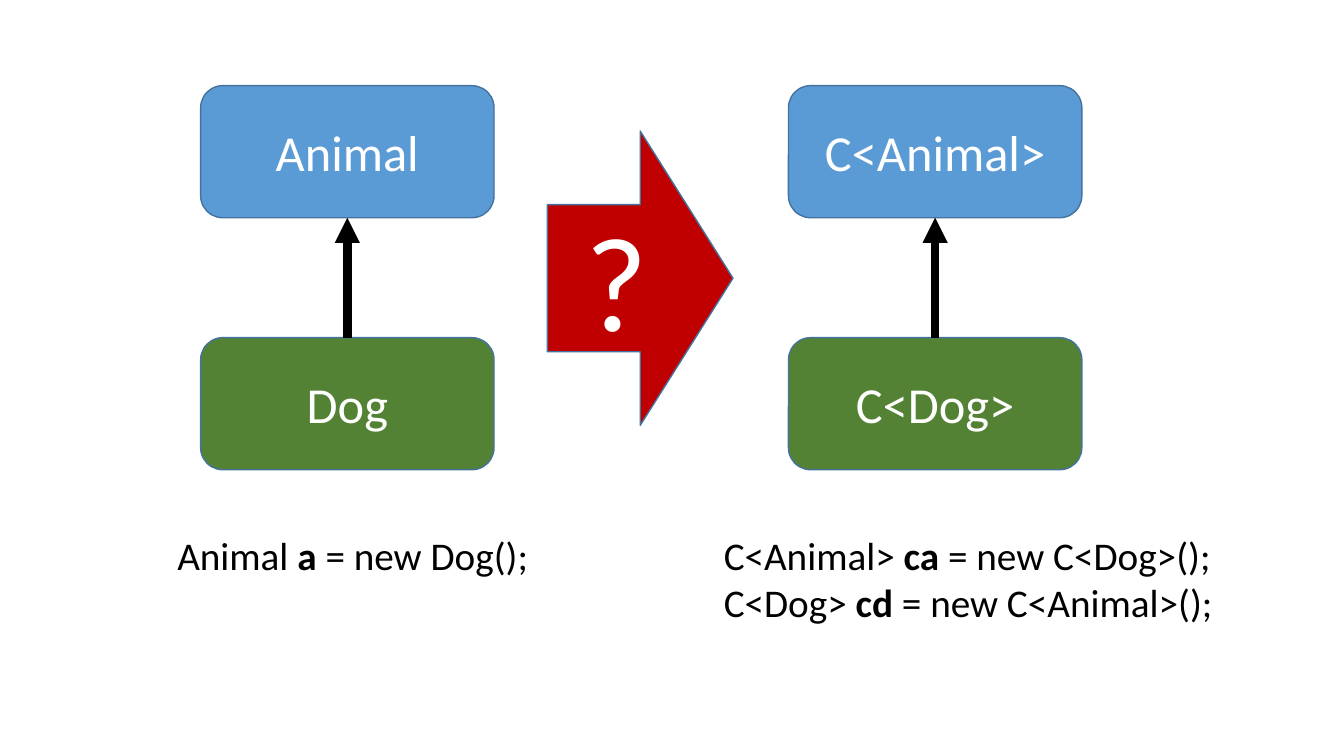
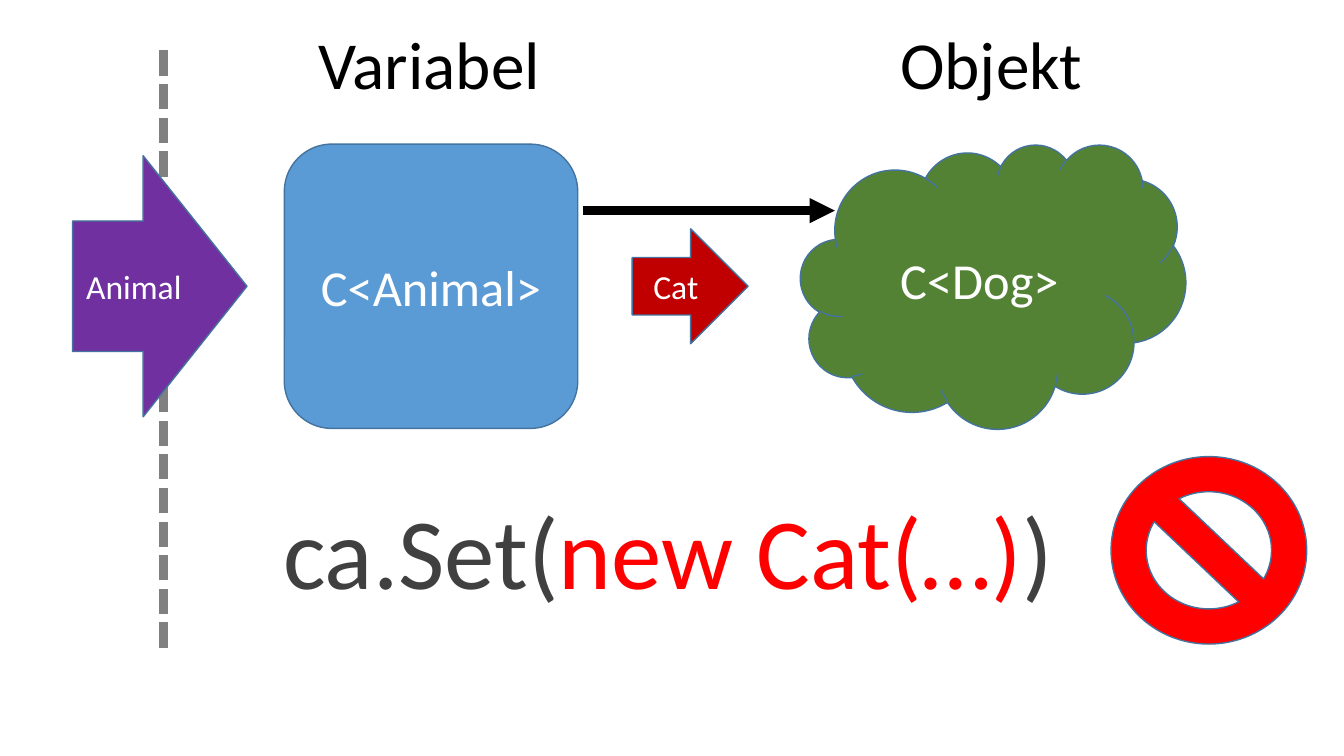
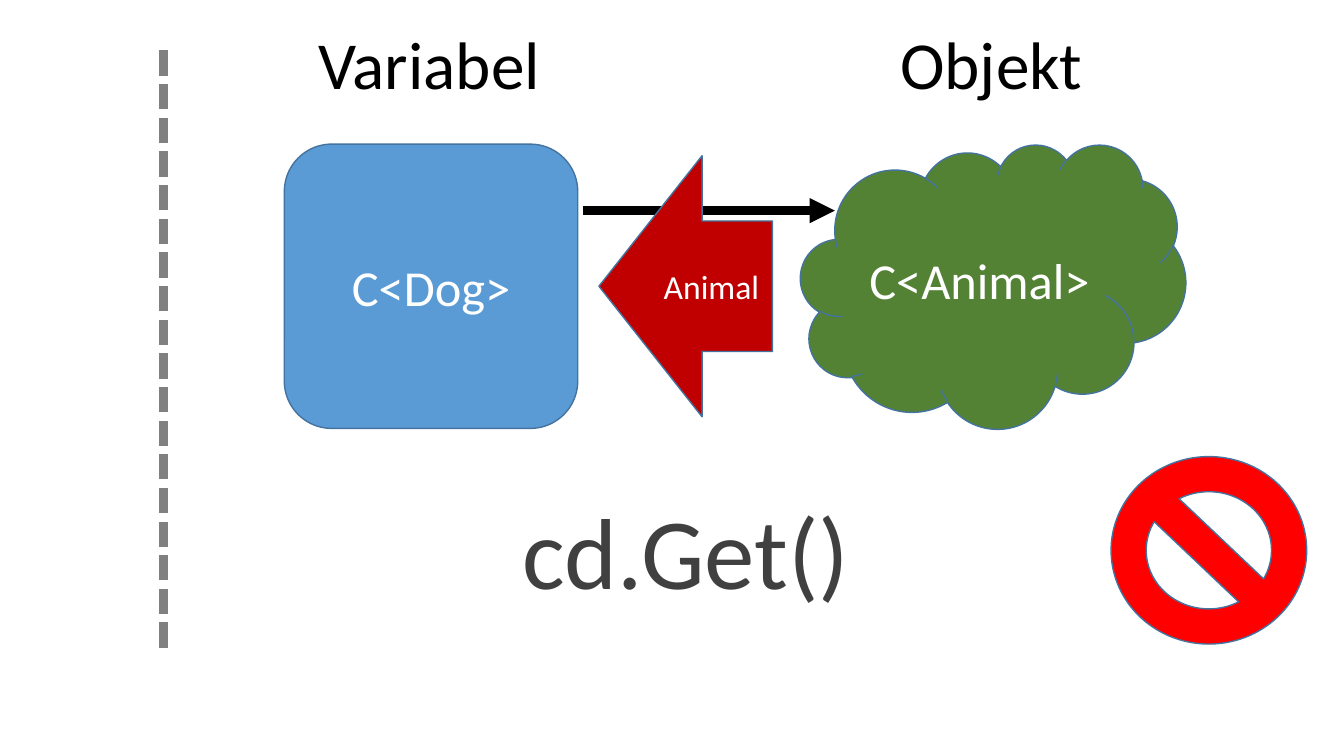
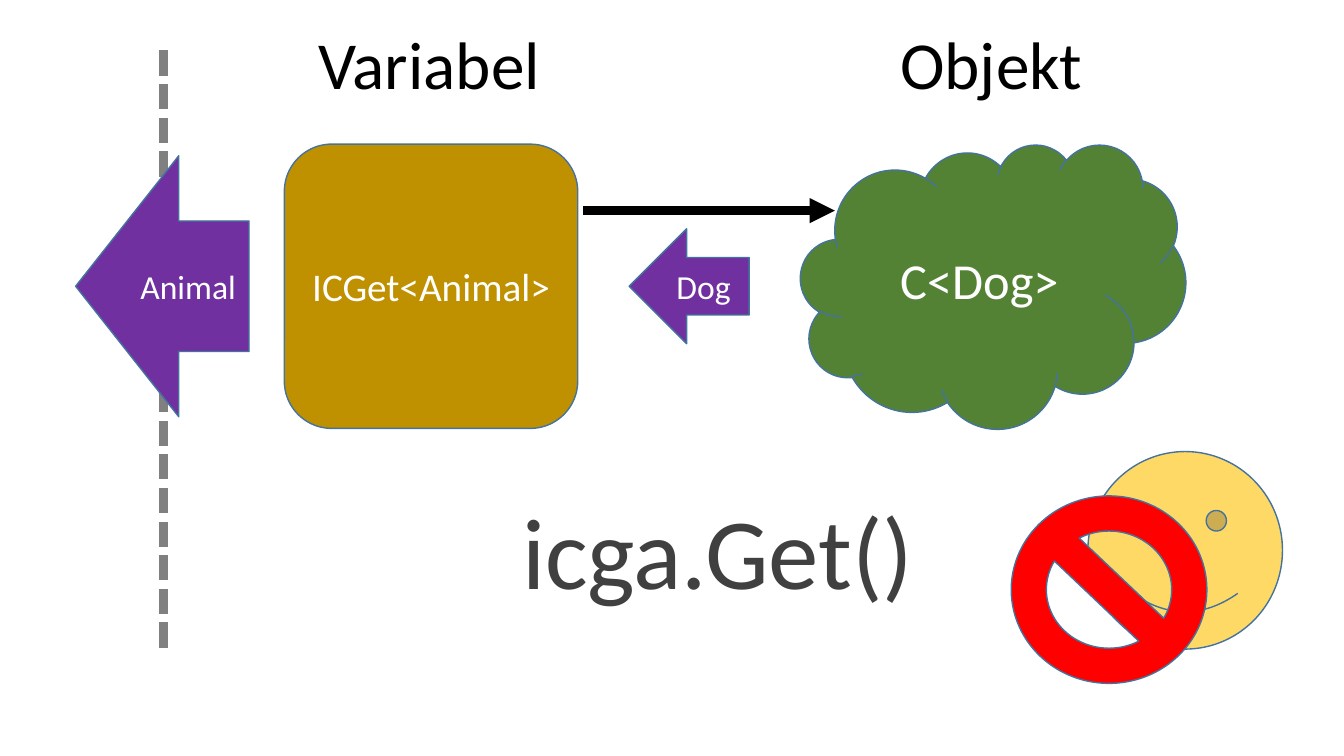
"""Build four slides on variance of generic types."""
from lxml import etree
from pptx import Presentation
from pptx import util as u
from pptx.dml.color import RGBColor
from pptx.enum import dml, shapes, text
from pptx.oxml.ns import qn

COLORS = {
    "variable": "5B9BD5", "object": "548235", "interface": "BF9000",
    "wrong": "C00000", "allowed": "7030A0", "ban": "FF0000", "smile": "FFD966",
    "outline": "43739E", "boundary": "808080", "call": "404040",
    "black": "000000", "white": "FFFFFF",
}
FONT = "Calibri"
KIND = shapes.MSO_SHAPE
LABEL = {"size": 28, "color": "black"}
HEADING = {"size": 48, "color": "black"}
CALL = {"size": 72, "color": "call"}
BOLD = {"bold": True}

HIERARCHIES = [
    (1.99, "Animal", "Dog"),
    (7.82, "C<Animal>", "C<Dog>"),
]
ASSIGNMENTS = [
    ((1.66, 5.22, 3.71, 0.57),
     [[("Animal ", {}), ("a ", BOLD), ("= new Dog();", {})]]),
    ((7.08, 5.22, 5.08, 1.04),
     [[("C<Animal> ", {}), ("ca", BOLD), (" = new C<Dog>();", {})],
      [("C<Dog> ", {}), ("cd", BOLD), (" = new C<Animal>();", {})]]),
]
HEADINGS = [("Variabel", (3.06, 0.17, 2.42, 0.91)),
            ("Objekt", (8.83, 0.17, 2.03, 0.91))]
SCENES = [
    {"variable": ("C<Animal>", "variable", 36), "object": "C<Dog>",
     "call": [("ca.Set(", {}), ("new Cat(…)", {"color": "ban"}), (")", {})],
     "call_left": 2.71, "call_width": 7.98,
     "flows": [("Cat", KIND.RIGHT_ARROW, "wrong", 6.27, 1.15, False),
               ("Animal", KIND.RIGHT_ARROW, "allowed", 0.72, 1.73, True)],
     "verdict": [(KIND.NO_SYMBOL, "ban", (11.02, 4.53, 1.94, 1.86))]},
    {"variable": ("C<Dog>", "variable", 36), "object": "C<Animal>",
     "call": [("cd.Get()", {})], "call_left": 5.08, "call_width": 3.48,
     "flows": [("Animal", KIND.LEFT_ARROW, "wrong", 5.94, 1.72, True)],
     "verdict": [(KIND.NO_SYMBOL, "ban", (11.02, 4.53, 1.94, 1.86))]},
    {"variable": ("ICGet<Animal>", "interface", 28), "object": "C<Dog>",
     "call": [("icga.Get()", {})], "call_left": 5.08, "call_width": 4.12,
     "flows": [("Dog", KIND.LEFT_ARROW, "allowed", 6.24, 1.19, False),
               ("Animal", KIND.LEFT_ARROW, "allowed", 0.75, 1.72, True)],
     "verdict": [(KIND.SMILEY_FACE, "smile", (10.79, 4.48, 1.93, 1.96)),
                 (KIND.NO_SYMBOL, "ban", (10.03, 4.92, 1.94, 1.86))]},
]
BOX_WIDTH, BOX_HEIGHT = 2.91, 1.31
PARENT_TOP, CHILD_TOP = 0.85, 3.35
FLOW_CENTER = 2.84


def rgb(name):
    return RGBColor.from_string(COLORS[name])


def inches(values):
    return [u.Inches(value) for value in values]


def add_run(paragraph, words, style):
    run = paragraph.add_run()
    run.text = words
    font_format = {"name": FONT, "size": u.Pt(style["size"]),
                   "bold": style.get("bold", False)}
    for key, value in font_format.items():
        setattr(run.font, key, value)
    run.font.color.rgb = rgb(style["color"])


def add_text(slide, place, paragraphs, style):
    frame = slide.shapes.add_textbox(*inches(place)).text_frame
    frame_format = {"word_wrap": False, "auto_size": text.MSO_AUTO_SIZE.SHAPE_TO_FIT_TEXT}
    for key, value in frame_format.items():
        setattr(frame, key, value)
    for index, runs in enumerate(paragraphs):
        paragraph = frame.add_paragraph() if index else frame.paragraphs[0]
        for words, change in runs:
            add_run(paragraph, words, {**style, **change})


def add_figure(slide, kind, place, color, words="", size=36):
    figure = slide.shapes.add_shape(kind, *inches(place))
    figure.shadow.inherit = False
    figure.fill.solid()
    figure.fill.fore_color.rgb = rgb(color)
    figure.line.color.rgb = rgb("outline")
    figure.line.width = u.Pt(1)
    if words:
        paragraph = figure.text_frame.paragraphs[0]
        paragraph.alignment = text.PP_ALIGN.CENTER
        add_run(paragraph, words, {"size": size, "color": "white"})
    return figure


def add_line(slide, ends, color, dash=None, arrow=False):
    connector = slide.shapes.add_connector(shapes.MSO_CONNECTOR.STRAIGHT, *inches(ends))
    line = connector.line
    line.color.rgb = rgb(color)
    line.width = u.Pt(6)
    if dash:
        line.dash_style = dash
    properties = connector.element.spPr
    if arrow:
        etree.SubElement(properties.find(qn("a:ln")), qn("a:tailEnd"), type="triangle")
    etree.SubElement(properties, qn("a:effectLst"))


def build_question(slide):
    for left, parent, child in HIERARCHIES:
        for words, top, color in ((parent, PARENT_TOP, "variable"),
                                  (child, CHILD_TOP, "object")):
            add_figure(slide, KIND.ROUNDED_RECTANGLE,
                       (left, top, BOX_WIDTH, BOX_HEIGHT), color, words)
        middle = left + BOX_WIDTH / 2
        add_line(slide, (middle, CHILD_TOP, middle, PARENT_TOP + BOX_HEIGHT),
                 "black", arrow=True)
    add_figure(slide, KIND.RIGHT_ARROW, (5.43, 1.3, 1.84, 2.92), "wrong", "?", 96)
    for place, paragraphs in ASSIGNMENTS:
        add_text(slide, place, paragraphs, LABEL)


def build_scene(slide, scene):
    words, color, size = scene["variable"]
    add_figure(slide, KIND.ROUNDED_RECTANGLE, (2.82, 1.43, BOX_WIDTH, 2.82),
               color, words, size)
    add_figure(slide, KIND.CLOUD, (7.94, 1.43, 3.82, 2.82), "object", scene["object"])
    for heading, place in HEADINGS:
        add_text(slide, place, [[(heading, {})]], HEADING)
    add_text(slide, (scene["call_left"], 4.8, scene["call_width"], 1.31),
             [scene["call"]], CALL)
    add_line(slide, (1.62, 0.5, 1.62, 6.5), "boundary", dml.MSO_LINE.SQUARE_DOT)
    add_line(slide, (5.78, 2.09, 8.28, 2.09), "black", arrow=True)
    for words, kind, color, left, width, large in scene["flows"]:
        height = 2.59 if large else 1.14
        flow = add_figure(slide, kind, (left, FLOW_CENTER - height / 2, width, height),
                          color, words, 24)
        if large:
            flow.adjustments[1] = 0.595
    for kind, color, place in scene["verdict"]:
        add_figure(slide, kind, place, color)


deck = Presentation()
deck.slide_width, deck.slide_height = inches((13.33, 7.5))
blank = deck.slide_layouts.get_by_name("Blank")
build_question(deck.slides.add_slide(blank))
for scene in SCENES:
    build_scene(deck.slides.add_slide(blank), scene)
deck.save("out.pptx")
